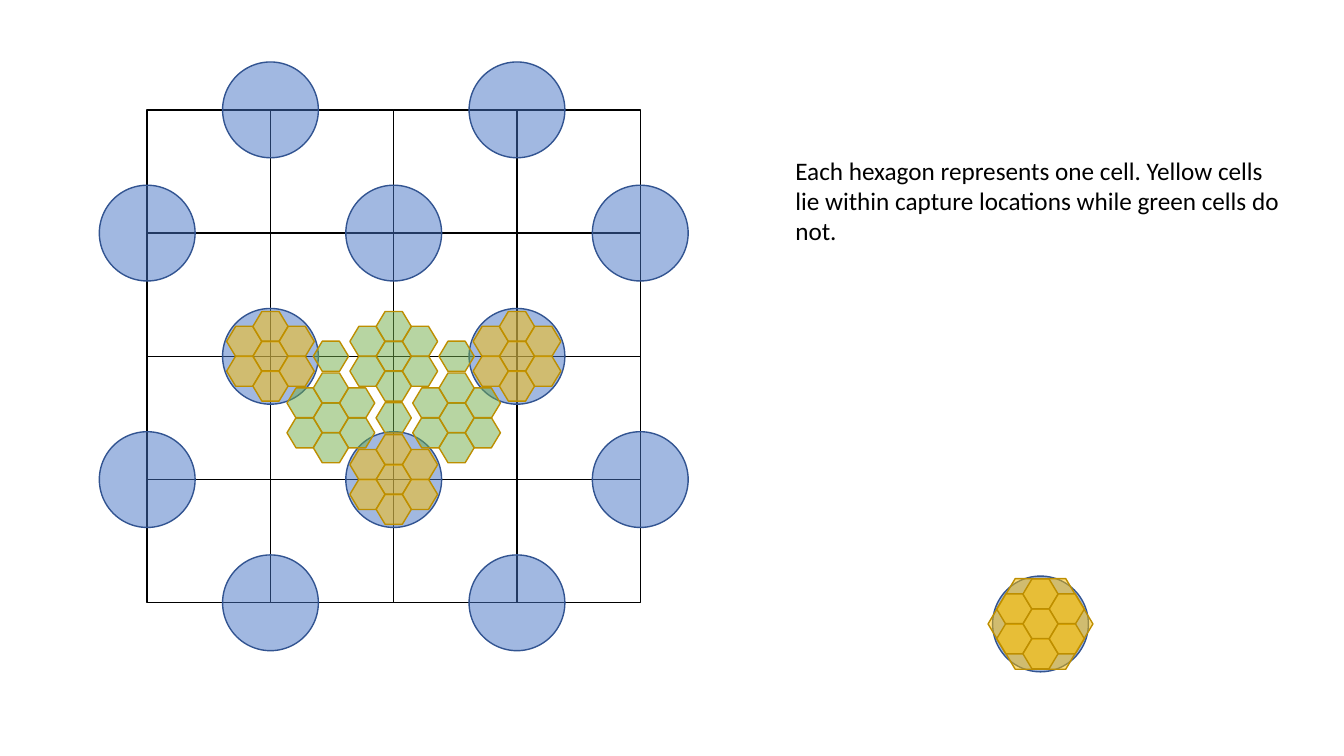
from itertools import product

from lxml.etree import SubElement
from pptx import Presentation
from pptx.dml.color import RGBColor
from pptx.enum.shapes import MSO_SHAPE as Preset
from pptx.oxml.ns import qn
from pptx.util import Inches, Pt

BLACK, WHITE = "000000", "FFFFFF"
BLUE, BLUE_LINE = "4472C4", "325491"
YELLOW, GREEN, HEXAGON_LINE = "FFC000", "70AD47", "BD8E00"

SQUARES = 4
CIRCLE = 0.95
HEXAGON = (0.35, 0.3)
STEP_X, STEP_Y = 0.26, 0.59 / 4
NEIGHBOURS = [(-1, -1), (0, -2), (1, -1), (0, 0), (-1, 1), (0, 2), (1, 1)]

# Column and row of each centre, counted in grid squares
CAPTURE_CLUSTERS = [(1, 2), (2, 3), (3, 2)]
OUTSIDE_CLUSTERS = [(2.51, 2.5), (2, 2), (1.49, 2.5)]
OUTSIDE_CELLS = [(2.51, 2), (1.49, 2), (2, 2.5)]


def color(value):
    """Turn a hex string into a colour."""
    return RGBColor.from_string(value)


def add_centred(shapes, preset, center, size, fill, line, opacity=100):
    """Add a filled and outlined preset shape around a centre point."""
    (x, y), (width, height) = center, size
    shape = shapes.add_shape(preset, Inches(x - width / 2), Inches(y - height / 2),
                             Inches(width), Inches(height))
    shape.shadow.inherit = False
    shape.fill.solid()
    shape.fill.fore_color.rgb = color(fill)
    shape.line.color.rgb = color(line)
    shape.line.width = Pt(1)
    if opacity < 100:
        fill_color = shape.fill._xPr.find(qn("a:solidFill"))[0]
        SubElement(fill_color, qn("a:alpha"), val=str(opacity * 1000))
    return shape


def add_circle(shapes, center):
    """Add one capture location."""
    add_centred(shapes, Preset.OVAL, center, (CIRCLE, CIRCLE), BLUE, BLUE_LINE, 50)


def add_hexagon(shapes, center, fill, size=HEXAGON):
    """Add one half-transparent hexagonal cell."""
    hexagon = add_centred(shapes, Preset.HEXAGON, center, size, fill, HEXAGON_LINE, 50)
    hexagon.adjustments[0] = 0.3


def add_cluster(shapes, center, fill):
    """Add a group of seven cells: one in the middle and its six neighbours."""
    group = shapes.add_group_shape()
    x, y = center
    for column, row in NEIGHBOURS:
        add_hexagon(group.shapes, (x + column * STEP_X, y + row * STEP_Y), fill)


def add_survey_grid(slide, left, top, side):
    """Draw the square grid with its capture locations and cells."""
    square = side / SQUARES

    def point(column, row):
        """Give the place of a grid position on the slide."""
        return left + column * square, top + row * square

    for row, column in product(range(SQUARES), repeat=2):
        add_centred(slide.shapes, Preset.RECTANGLE, point(column + 0.5, row + 0.5),
                    (square, square), WHITE, BLACK)
    for row, column in product(range(SQUARES + 1), repeat=2):
        if (row + column) % 2:
            add_circle(slide.shapes, point(column, row))
    for position in CAPTURE_CLUSTERS:
        add_cluster(slide.shapes, point(*position), YELLOW)
    for position in OUTSIDE_CLUSTERS:
        add_cluster(slide.shapes, point(*position), GREEN)
    for position in OUTSIDE_CELLS:
        add_hexagon(slide.shapes, point(*position), GREEN)


def add_capture_detail(slide, left, top, width, height):
    """Draw one capture location under a large hexagon and its seven cells."""
    center = (left + width / 2, top + height / 2)
    add_circle(slide.shapes, center)
    add_hexagon(slide.shapes, center, YELLOW, (width, height))
    add_cluster(slide.shapes, center, YELLOW)


def add_explanation(slide, left, top, width, height):
    """Write the explanation of the cell colours."""
    box = slide.shapes.add_textbox(Inches(left), Inches(top), Inches(width), Inches(height))
    box.text_frame.word_wrap = True
    run = box.text_frame.paragraphs[0].add_run()
    run.text = ("Each hexagon represents one cell. Yellow cells lie within "
                "capture locations while green cells do not.")
    run.font.name = "Calibri"
    run.font.size = Pt(18)
    run.font.color.rgb = color(BLACK)


def main():
    """Build and save the slide."""
    presentation = Presentation()
    presentation.slide_width = Inches(13.33)
    presentation.slide_height = Inches(7.5)
    slide = presentation.slides.add_slide(presentation.slide_layouts[6])
    add_capture_detail(slide, 9.8, 5.74, 1.04, 0.9)
    add_survey_grid(slide, 1.46, 1.09, 4.89)
    add_explanation(slide, 7.79, 1.49, 5.13, 1.01)
    presentation.save("out.pptx")


main()
